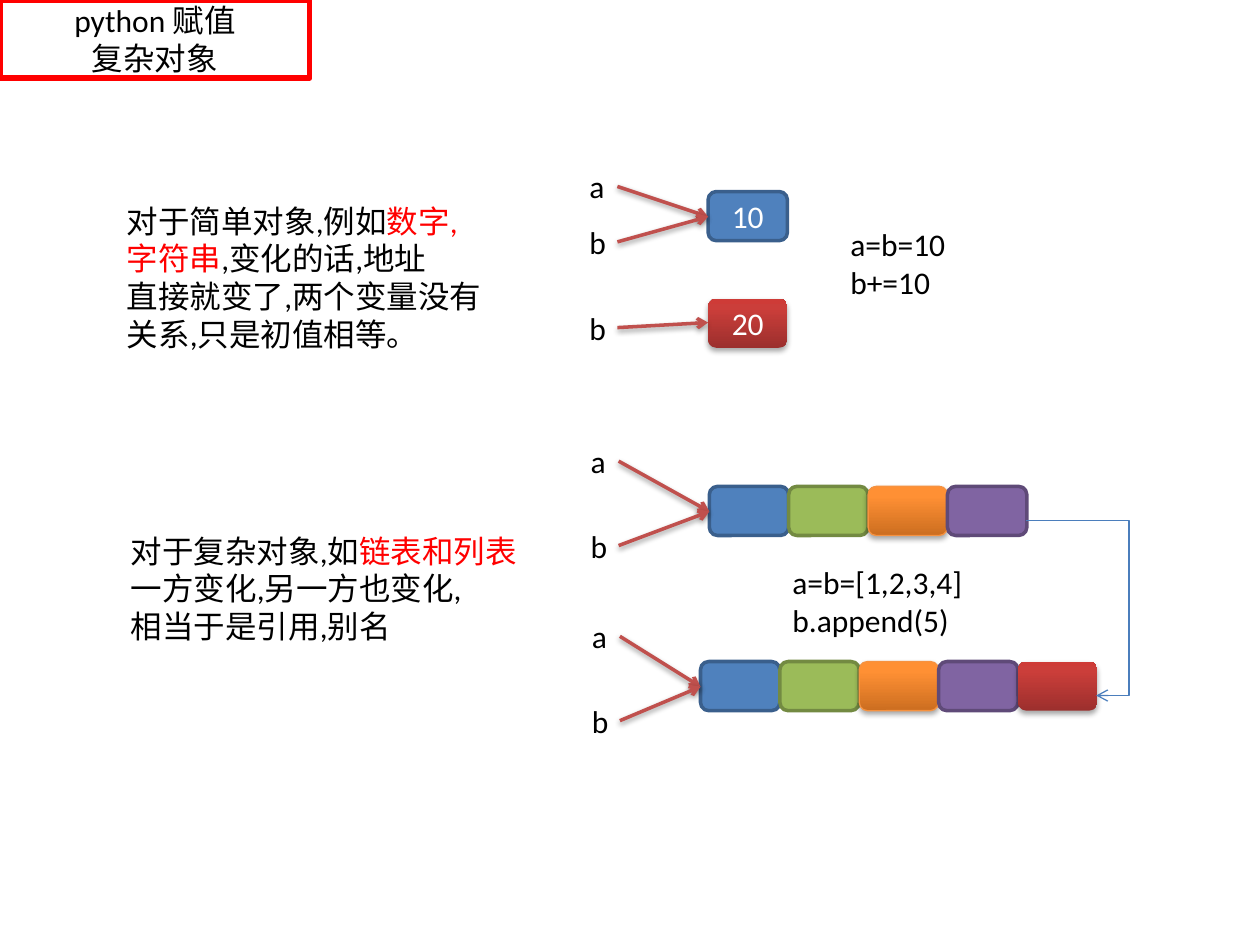
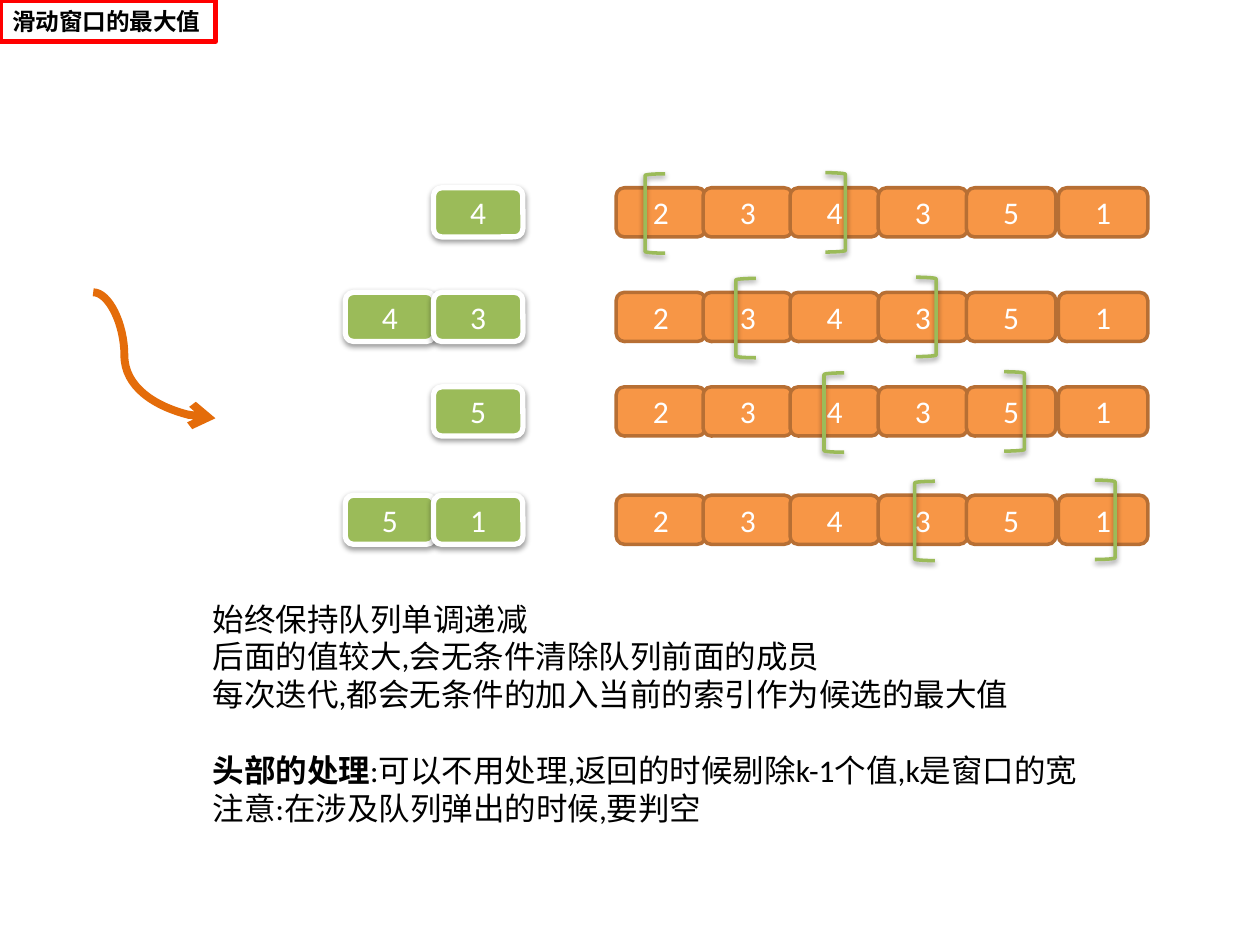
from dataclasses import dataclass

from lxml.etree import SubElement
from pptx import Presentation
from pptx.dml.color import RGBColor
from pptx.enum.shapes import MSO_CONNECTOR, MSO_SHAPE
from pptx.enum.text import MSO_ANCHOR, MSO_AUTO_SIZE, PP_ALIGN
from pptx.oxml.ns import qn
from pptx.util import Inches, Pt


@dataclass(frozen=True)
class Theme:
    black: str = "000000"
    white: str = "FFFFFF"
    red: str = "FF0000"
    green: str = "9BBB59"
    arrow: str = "C0504D"
    link: str = "4B7EBC"
    curve: str = "E46C0A"
    latin: str = "Calibri"
    chinese: str = "Noto Sans CJK SC"
    body: float = 18
    heading: float = 13.5


THEME = Theme()


@dataclass(frozen=True)
class CellStyle:
    fill: str = ""
    gradient: tuple = ()
    line: str = ""
    width: float = 2
    shadow: tuple = ()


SOFT = (38, 20000)   # opacity in percent, distance in EMU
DEEP = (35, 23000)
BLUE = CellStyle("4F81BD", line="3A5F8C")
GREEN = CellStyle(THEME.green, line="738A42")
PURPLE = CellStyle("8064A2", line="5F4A78")
ORANGE = CellStyle(gradient=((0, "CC6E20"), (80, "FF9034"), (100, "FF9136")),
                   line="F69240", width=0.75, shadow=DEEP)
RED = CellStyle(gradient=((0, "9C2F2D"), (80, "CB3E3A"), (100, "CE3B37")), shadow=DEEP)
NUMBER = CellStyle("F79646", line="B76F34")
QUEUED = CellStyle(THEME.green, line=THEME.white, width=3, shadow=SOFT)
BRACKET = CellStyle(line=THEME.green, shadow=SOFT)
TITLE = CellStyle(THEME.white, line=THEME.red, width=3)

CELL_HEIGHT = 0.39


# ---- Text ----
def add_span(para, text, color=THEME.black, size=THEME.body, font=THEME.latin, bold=False):
    span = para.add_run()
    span.text = text
    span.font.name, span.font.size, span.font.bold = font, Pt(size), bold
    span.font.color.rgb = RGBColor.from_string(color)
    SubElement(span.font._element, qn("a:ea"), typeface=THEME.chinese)


def write_lines(frame, lines, align=PP_ALIGN.LEFT, **look):
    """Each line is a list of (text, overrides) spans."""
    for index, spans in enumerate(lines):
        para = frame.paragraphs[0] if index == 0 else frame.add_paragraph()
        para.alignment = align
        for text, changes in spans:
            add_span(para, text, **{**look, **changes})


def plain(*texts):
    return [[(text, {})] for text in texts]


def add_text(page, left, top, width, height, lines, wrap=False):
    box = page.shapes.add_textbox(Inches(left), Inches(top), Inches(width), Inches(height))
    frame = box.text_frame
    frame.word_wrap = wrap
    frame.auto_size = MSO_AUTO_SIZE.NONE if wrap else MSO_AUTO_SIZE.SHAPE_TO_FIT_TEXT
    write_lines(frame, lines)
    return frame


# ---- Shapes ----
def add_effects(properties, shadow):
    effects = properties.find(qn("a:effectLst"))
    if effects is None:
        effects = SubElement(properties, qn("a:effectLst"))
    if shadow:
        opacity, distance = shadow
        outer = SubElement(effects, qn("a:outerShdw"), blurRad="40000", dist=str(distance),
                           dir="5400000", rotWithShape="0")
        color = SubElement(outer, qn("a:srgbClr"), val=THEME.black)
        SubElement(color, qn("a:alpha"), val=str(opacity * 1000))


def fill_gradient(shape, stops):
    shape.fill.gradient()
    shape.fill.gradient_angle = 90
    stop_list = shape.element.spPr.find(qn("a:gradFill")).find(qn("a:gsLst"))
    for stop in list(stop_list):
        stop_list.remove(stop)
    for position, color in stops:
        stop = SubElement(stop_list, qn("a:gs"), pos=str(position * 1000))
        SubElement(stop, qn("a:srgbClr"), val=color)


def add_shape(shapes, kind, left, top, width, height, style):
    shape = shapes.add_shape(kind, Inches(left), Inches(top), Inches(width), Inches(height))
    if style.gradient:
        fill_gradient(shape, style.gradient)
    elif style.fill:
        shape.fill.solid()
        shape.fill.fore_color.rgb = RGBColor.from_string(style.fill)
    else:
        shape.fill.background()
    if style.line:
        shape.line.color.rgb = RGBColor.from_string(style.line)
        shape.line.width = Pt(style.width)
    else:
        shape.line.fill.background()
    shape.shadow.inherit = False
    add_effects(shape.element.spPr, style.shadow)
    return shape


def add_cell(page, left, top, width, style, text=""):
    cell = add_shape(page.shapes, MSO_SHAPE.ROUNDED_RECTANGLE, left, top, width,
                     CELL_HEIGHT, style)
    if text:
        cell.text_frame.vertical_anchor = MSO_ANCHOR.MIDDLE
        write_lines(cell.text_frame, plain(text), PP_ALIGN.CENTER, color=THEME.white)


def add_title(page, width, height, lines, align, **look):
    title = add_shape(page.shapes, MSO_SHAPE.RECTANGLE, 0, 0, width, height, TITLE)
    title.text_frame.vertical_anchor = MSO_ANCHOR.MIDDLE
    title.text_frame.word_wrap = False
    write_lines(title.text_frame, plain(*lines), align, **look)


def add_arrow(page, start, end, color, width, kind=MSO_CONNECTOR.STRAIGHT,
              bend=None, shadow=()):
    arrow = page.shapes.add_connector(kind, *(Inches(value) for value in (*start, *end)))
    arrow.line.color.rgb = RGBColor.from_string(color)
    arrow.line.width = Pt(width)
    properties = arrow.element.spPr
    SubElement(properties.find(qn("a:ln")), qn("a:tailEnd"), type="arrow")
    if bend is not None:
        geometry = properties.find(qn("a:prstGeom"))
        guides = geometry.find(qn("a:avLst"))
        if guides is None:
            guides = SubElement(geometry, qn("a:avLst"))
        SubElement(guides, qn("a:gd"), name="adj1", fmla=f"val {round(bend * 100000)}")
    add_effects(properties, shadow)


# ---- Diagram parts ----
def add_variable(page, name, left, top, target):
    """A variable name with an arrow to the object it refers to."""
    add_text(page, left, top, 0.33, 0.4, plain(name))
    add_arrow(page, (left + 0.32, top + 0.2), target, THEME.arrow, 2, shadow=SOFT)


def add_list(page, left, top, styles):
    for index, style in enumerate(styles):
        add_cell(page, left + 0.63 * index, top, 0.63, style)


def add_window(page, left, top):
    """The pair of brackets around three numbers."""
    group = page.shapes.add_group_shape()
    for offset, rise, turn in ((0, 0.11, 0), (1.43, 0.12, 180)):
        bracket = add_shape(group.shapes, MSO_SHAPE.LEFT_BRACKET, left + offset, top - rise,
                            0.16, 0.63, BRACKET)
        bracket.rotation = turn


# ---- Slides ----
def build_assignment(page):
    add_title(page, 2.46, 0.62, ("python 赋值", "复杂对象"), PP_ALIGN.CENTER)
    red = {"color": THEME.red}

    # Simple objects
    add_cell(page, 5.62, 1.52, 0.63, BLUE, "10")
    add_cell(page, 5.62, 2.37, 0.63, RED, "20")
    for name, top, target_y in (("a", 1.28, 1.72), ("b", 1.72, 1.72), ("b", 2.4, 2.56)):
        add_variable(page, name, 4.58, top, (5.62, target_y))
    add_text(page, 6.65, 1.74, 0.95, 0.71, plain("a=b=10", "b+=10"))
    add_text(page, 0.91, 1.55, 3.2, 1.31, [
        [("对于简单对象,例如".replace(",", ","), {}), ("数字,", red)],
        [("字符串", red), (",变化的话,地址", {})],
        *plain("直接就变了,两个变量没有", "关系,只是初值相等。"),
    ])

    # Lists, before and after the append
    four = (BLUE, GREEN, ORANGE, PURPLE)
    for left, top, styles, label_x in ((5.63, 3.86, four, 4.59),
                                       (5.56, 5.25, (*four, RED), 4.6)):
        add_list(page, left, top, styles)
        for name, offset in (("a", -0.4), ("b", 0.27)):
            add_variable(page, name, label_x, top + offset, (left, top + 0.2))
    add_arrow(page, (8.14, 4.13), (8.7, 5.52), THEME.link, 0.75, MSO_CONNECTOR.ELBOW, 1.465)
    add_text(page, 6.19, 4.42, 1.55, 0.71, plain("a=b=[1,2,3,4]", "b.append(5)"))
    add_text(page, 0.94, 4.17, 3.45, 1.01, [
        [("对于复杂对象,如", {}), ("链表和列表", red)],
        *plain("一方变化,另一方也变化,", "相当于是引用,别名"),
    ])


def build_window(page):
    add_title(page, 1.71, 0.33, ("滑动窗口的最大值",), PP_ALIGN.LEFT,
              size=THEME.heading, font=THEME.chinese, bold=True)

    # One row per step: numbers, window, queue
    columns = (4.89, 5.58, 6.27, 6.97, 7.67, 8.4)
    steps = ((1.49, 5.12, "4"), (2.32, 5.84, "43"), (3.07, 6.54, "5"), (3.93, 7.26, "51"))
    for top, window_x, queue in steps:
        for left, number in zip(columns, "234351"):
            add_cell(page, left, top, 0.71, NUMBER, number)
        add_window(page, window_x, top)
        for index, number in enumerate(queue):
            left = 3.44 - 0.7 * (len(queue) - 1 - index)
            add_cell(page, left, top, 0.71, QUEUED, number)
    add_arrow(page, (0.74, 2.32), (1.71, 3.32), THEME.curve, 4.5, MSO_CONNECTOR.CURVE, 0.255)

    # Explanation
    frame = add_text(page, 1.59, 4.71, 7.64, 1.92, [
        *plain("始终保持队列单调递减",
               "后面的值较大,会无条件清除队列前面的成员",
               "每次迭代,都会无条件的加入当前的索引作为候选的最大值"),
        [("头部的处理", {"bold": True}),
         (":可以不用处理,返回的时候剔除k-1个值,k是窗口的宽", {})],
        *plain("注意:在涉及队列弹出的时候,要判空"),
    ], wrap=True)
    frame.paragraphs[3].space_before = Pt(21.6)


def main():
    deck = Presentation()
    deck.slide_width, deck.slide_height = Inches(10), Inches(7.5)
    for build in (build_assignment, build_window):
        build(deck.slides.add_slide(deck.slide_layouts[6]))
    deck.save("out.pptx")


main()
